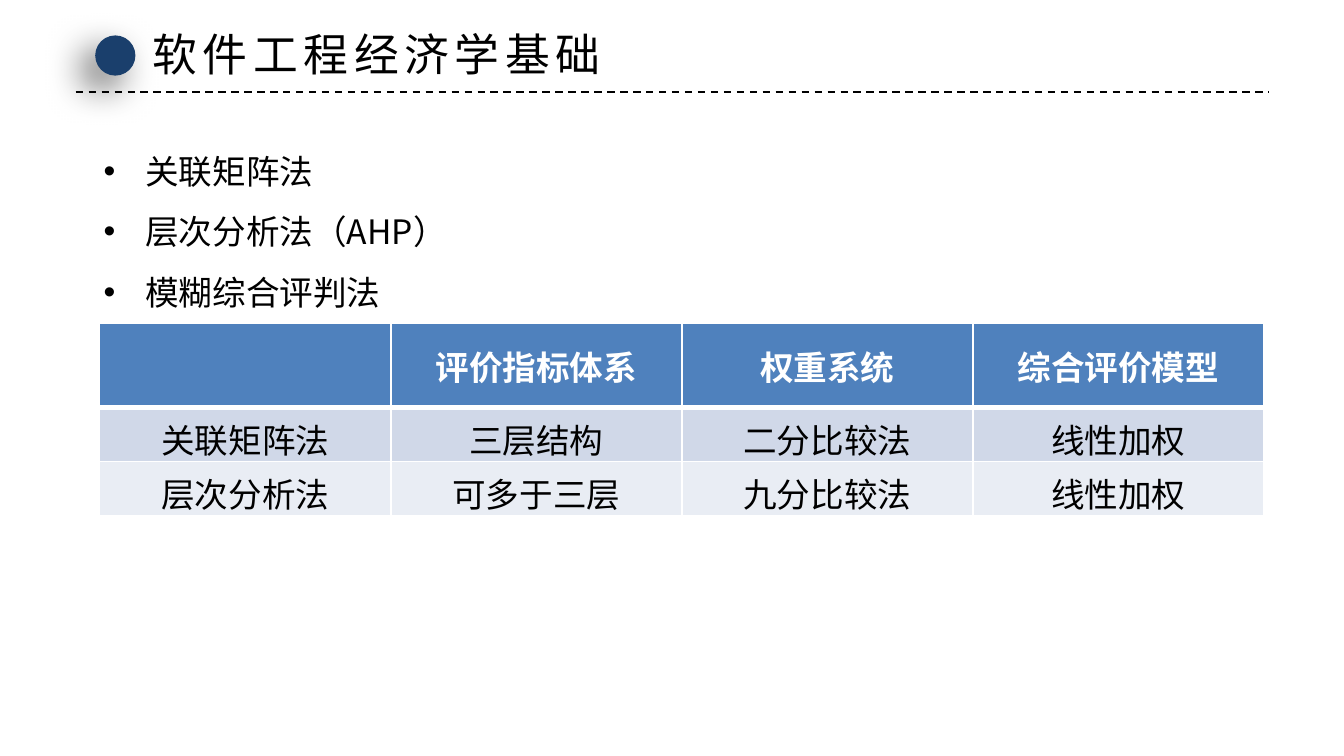
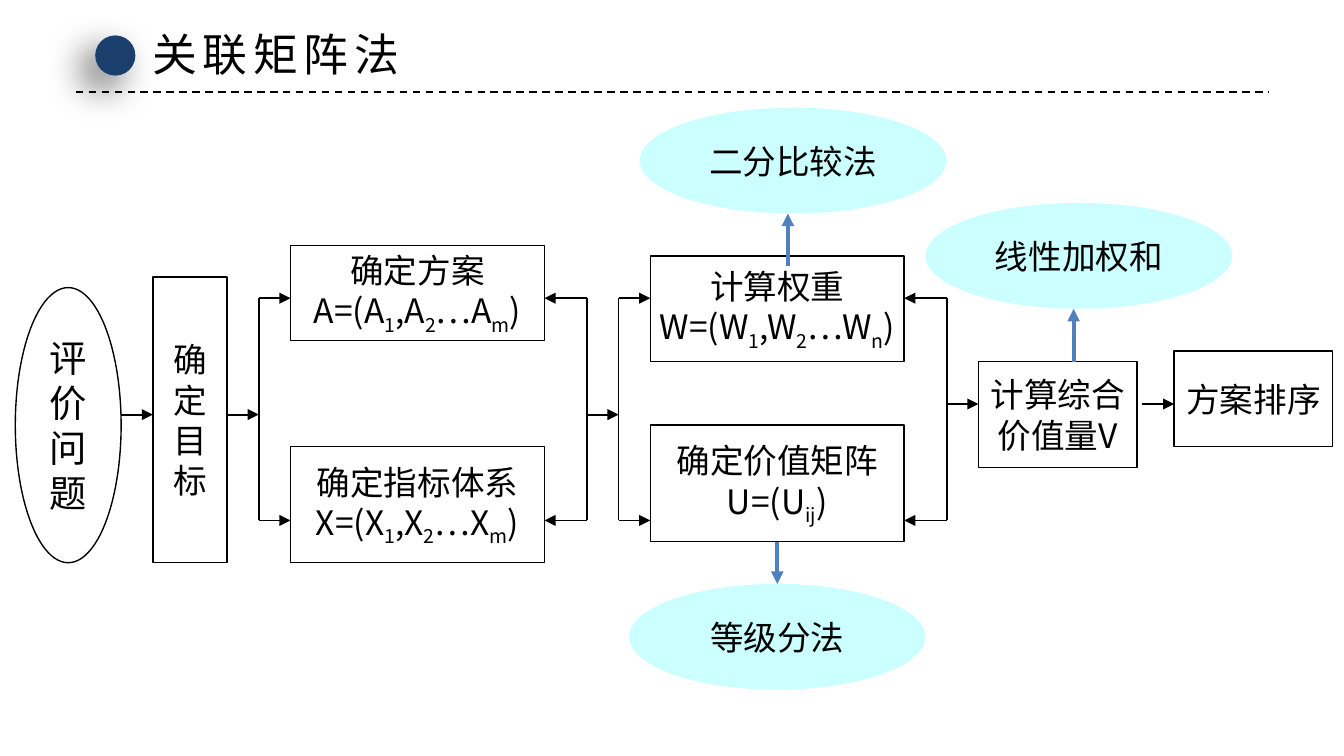
import pptx
import pptx.dml.color
import pptx.enum.dml
import pptx.enum.shapes
import pptx.enum.text
import pptx.oxml.ns
import pptx.util
from lxml import etree

SLIDE_W = pptx.util.Inches(10)
SLIDE_H = SLIDE_W * 9 // 16
GRID = SLIDE_W / 127  # one square unit for columns and rows
DIAGRAM_LEFT, DIAGRAM_TOP = 1.45, 10.18

FONT = "Noto Sans CJK SC"
TABLE_FONT = "Calibri"
BLACK, WHITE = "000000", "FFFFFF"
NAVY, BLUE, CYAN = "1A3F6C", "4F81BD", "CCFFFF"
ROW_FILLS = [BLUE, "D0D8E8", "E9EDF4"]

SHAPE = pptx.enum.shapes.MSO_SHAPE
ALIGN = pptx.enum.text.PP_ALIGN
ANCHOR = pptx.enum.text.MSO_ANCHOR
AUTO_SIZE = pptx.enum.text.MSO_AUTO_SIZE


def units(*counts):
    """Turn grid units into slide lengths."""
    return [round(count * GRID) for count in counts]


def on_diagram(col, row):
    return units(DIAGRAM_LEFT + col, DIAGRAM_TOP + row)


def rgb(hex_color):
    return pptx.dml.color.RGBColor.from_string(hex_color)


def add_xml(parent, tag, **attributes):
    child = etree.SubElement(parent, pptx.oxml.ns.qn(tag))
    for key, value in attributes.items():
        child.set(key, str(value))
    return child


def write(frame, text, size=18, font=FONT, color=BLACK, bold=False, align=ALIGN.CENTER,
          spacing=None, line_spacing=None, bullet=None):
    """Fill a text frame; newlines part paragraphs, |bars| enclose subscripts."""
    for index, line in enumerate(text.split("\n")):
        paragraph = frame.add_paragraph() if index else frame.paragraphs[0]
        paragraph.alignment = align
        if line_spacing:
            paragraph.line_spacing = line_spacing
        if bullet:
            properties = paragraph._p.get_or_add_pPr()
            indent = pptx.util.Inches(0.31)
            properties.set("marL", str(indent))
            properties.set("indent", str(-indent))
            add_xml(properties, "a:buFont", typeface="Arial")
            add_xml(properties, "a:buChar", char=bullet)
        for part, piece in enumerate(line.split("|")):
            if not piece:
                continue
            run = paragraph.add_run()
            run.text = piece
            run.font.size = pptx.util.Pt(size)
            run.font.bold = bold
            run.font.color.rgb = rgb(color)
            run.font.name = font
            run_properties = run._r.get_or_add_rPr()
            add_xml(run_properties, "a:ea", typeface=FONT)
            if part % 2:
                run_properties.set("baseline", "-25000")
            if spacing:
                run_properties.set("spc", str(spacing * 100))


def add_line(slide, start, end, color=BLACK, width=1, dash=None, arrow=False):
    line = slide.shapes.add_connector(
        pptx.enum.shapes.MSO_CONNECTOR.STRAIGHT, *start, *end)
    line.line.color.rgb = rgb(color)
    line.line.width = pptx.util.Pt(width)
    if dash:
        line.line.dash_style = dash
    if arrow:
        add_xml(line.line._get_or_add_ln(), "a:tailEnd", type="triangle")
    add_xml(line._element.spPr, "a:effectLst")
    return line


def add_form(slide, preset, position, size, fill, outline=None):
    form = slide.shapes.add_shape(preset, *position, *size)
    form.shadow.inherit = False
    form.fill.solid()
    form.fill.fore_color.rgb = rgb(fill)
    if outline:
        form.line.color.rgb = rgb(outline)
        form.line.width = pptx.util.Pt(0.75)
    else:
        form.line.fill.background()
    return form


def add_node(slide, text, col, row, width, height, preset=SHAPE.RECTANGLE,
             fill=WHITE, outline=BLACK, size=18):
    node = add_form(slide, preset, on_diagram(col, row), units(width, height), fill, outline)
    node.text_frame.word_wrap = False
    node.text_frame.vertical_anchor = ANCHOR.MIDDLE
    write(node.text_frame, text, size)
    return node


def add_method(slide, text, col, row, width):
    return add_node(slide, text, col, row, width, 10, SHAPE.OVAL, CYAN, None)


def add_flow(slide, start, end, arrow=True):
    return add_line(slide, on_diagram(*start), on_diagram(*end), arrow=arrow)


def add_method_arrow(slide, start, end):
    return add_line(slide, on_diagram(*start), on_diagram(*end), BLUE, 2.25, arrow=True)


def add_bracket(slide, col, tip_col):
    """Draw an upright line with an arrow from each end to tip_col."""
    top, bottom = 18, 39
    add_flow(slide, (col, top), (col, bottom), arrow=False)
    for row in (top, bottom):
        add_flow(slide, (col, row), (tip_col, row))


def add_titled_slide(deck, title):
    slide = deck.slides.add_slide(deck.slide_layouts[5])
    add_line(slide, units(7.15, 8.67), units(119.85, 8.67),
             dash=pptx.enum.dml.MSO_LINE.DASH)
    dot = add_form(slide, SHAPE.OVAL, units(9, 3.35), units(3.8, 3.8), NAVY)
    effects = dot._element.spPr.find(pptx.oxml.ns.qn("a:effectLst"))
    shadow = add_xml(effects, "a:outerShdw", blurRad=pptx.util.Pt(20),
                     dist=pptx.util.Pt(10), dir=135 * 60000, algn="tr", rotWithShape=0)
    add_xml(add_xml(shadow, "a:srgbClr", val=BLACK), "a:alpha", val=60000)

    heading = slide.shapes.title
    heading.left, heading.top = units(13.15, 1.9)
    heading.width, heading.height = units(2.7 + 4.8 * len(title), 6.35)
    frame = heading.text_frame
    frame.word_wrap = False
    frame.auto_size = AUTO_SIZE.SHAPE_TO_FIT_TEXT
    frame.vertical_anchor = ANCHOR.TOP
    write(frame, title, size=24, align=ALIGN.LEFT, spacing=3)
    return slide


def add_bullets(slide, text):
    box = slide.shapes.add_textbox(*units(8.55, 11.7), *units(110, 18))
    box.text_frame.word_wrap = True
    box.text_frame.auto_size = AUTO_SIZE.SHAPE_TO_FIT_TEXT
    write(box.text_frame, text, align=ALIGN.JUSTIFY, line_spacing=1.5, bullet="•")


def style_cell(cell, fill, bottom_width):
    properties = cell._tc.get_or_add_tcPr()
    for side, width in (("L", 1), ("R", 1), ("T", 1), ("B", bottom_width)):
        border = add_xml(properties, f"a:ln{side}", w=pptx.util.Pt(width))
        add_xml(add_xml(border, "a:solidFill"), "a:srgbClr", val=WHITE)
    cell.fill.solid()
    cell.fill.fore_color.rgb = rgb(fill)
    cell.vertical_anchor = ANCHOR.MIDDLE


def add_comparison(slide, rows):
    heights = units(8, 5, 5)
    table = slide.shapes.add_table(len(rows), len(rows[0]), *units(9.42, 30.53),
                                   *units(110, 18)).table
    for row, (texts, fill) in enumerate(zip(rows, ROW_FILLS)):
        is_header = row == 0
        table.rows[row].height = heights[row]
        for col, text in enumerate(texts):
            cell = table.cell(row, col)
            style_cell(cell, fill, 3 if is_header else 1)
            write(cell.text_frame, text, font=TABLE_FONT, bold=is_header,
                  color=WHITE if is_header else BLACK)


def build_methods_slide(deck):
    slide = add_titled_slide(deck, "软件工程经济学基础")
    add_bullets(slide, "关联矩阵法\n层次分析法（AHP）\n模糊综合评判法")
    add_comparison(slide, [
        ["", "评价指标体系", "权重系统", "综合评价模型"],
        ["关联矩阵法", "三层结构", "二分比较法", "线性加权"],
        ["层次分析法", "可多于三层", "九分比较法", "线性加权"],
    ])


def build_matrix_slide(deck):
    slide = add_titled_slide(deck, "关联矩阵法")
    add_node(slide, "评\n价\n问\n题", 0, 17, 10, 26, SHAPE.OVAL, size=20)
    add_node(slide, "确\n定\n目\n标", 13, 16, 7, 27)
    add_node(slide, "确定方案\nA=(A|1|,A|2|…A|m|)", 26, 13, 24, 9)
    add_node(slide, "确定指标体系\nX=(X|1|,X|2|…X|m|)", 26, 32, 24, 11)
    add_node(slide, "计算权重\nW=(W|1|,W|2|…W|n|)", 60, 14, 24, 10)
    value_matrix = add_node(slide, "确定价值矩阵\nU=(U|ij|)", 60, 30, 24, 11)
    add_node(slide, "计算综合\n价值量V", 91, 24, 15, 10)
    add_node(slide, "方案排序", 109.5, 23, 15, 9)

    for col, tip_col in ((23, 26), (54, 50), (57, 60), (88, 84)):
        add_bracket(slide, col, tip_col)
    for col, row in ((10, 29), (20, 29), (54, 29), (88, 28), (106.5, 28)):
        add_flow(slide, (col, row), (col + 3, row))

    add_method(slide, "二分比较法", 59, 0, 29)
    grading = add_method(slide, "等级分法", 58, 45, 28)
    add_method(slide, "线性加权和", 86, 9, 29)
    add_method_arrow(slide, (73, 15), (73, 10))
    add_method_arrow(slide, (100, 24), (100, 19))
    grading_arrow = add_method_arrow(slide, (72, 41), (72, 45))
    grading_arrow.begin_connect(value_matrix, 2)
    grading_arrow.end_connect(grading, 0)


def main():
    deck = pptx.Presentation()
    deck.slide_width, deck.slide_height = SLIDE_W, SLIDE_H
    build_methods_slide(deck)
    build_matrix_slide(deck)
    deck.save("out.pptx")


if __name__ == "__main__":
    main()
